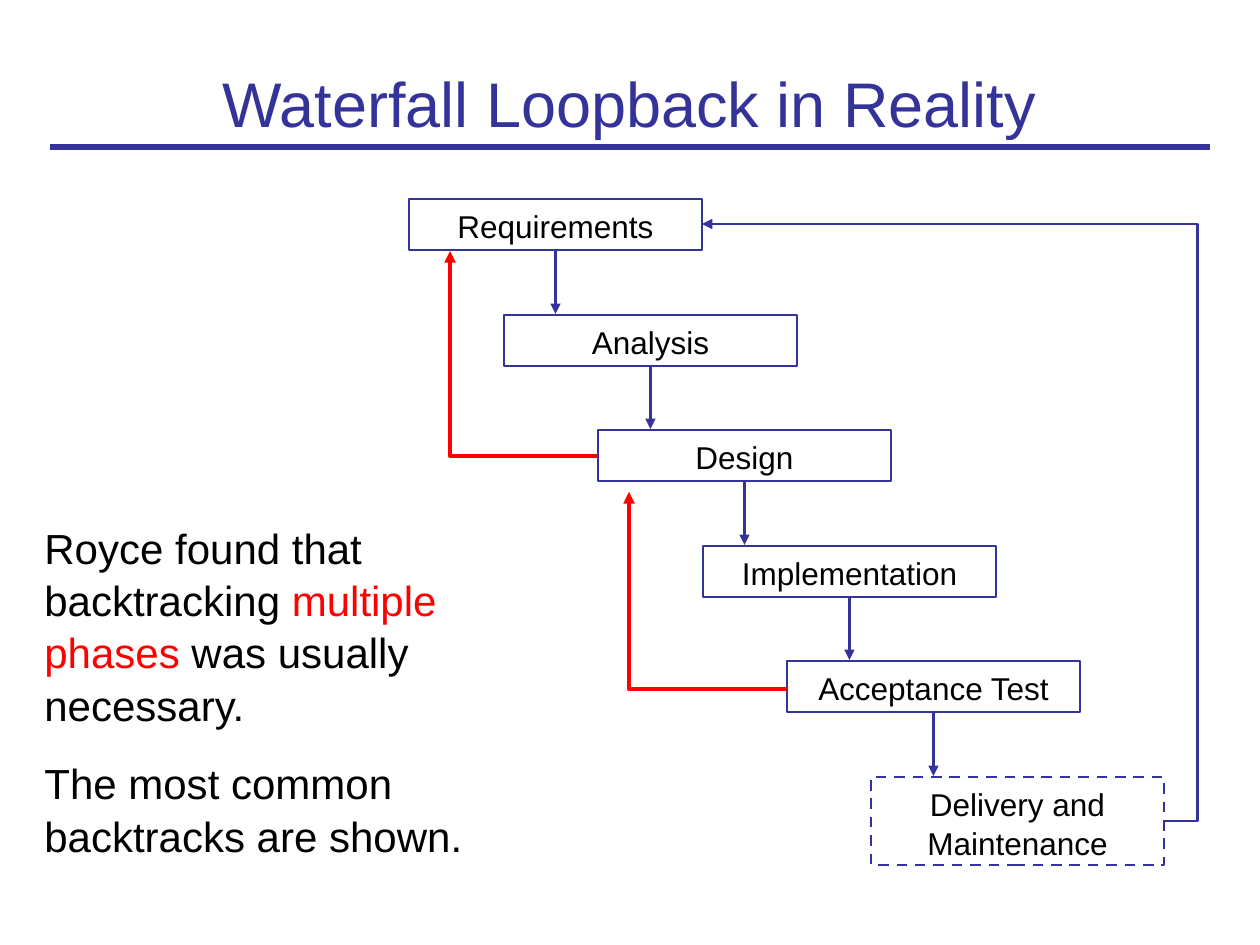
"""Build the slide on waterfall loopbacks, with the phases as a staircase."""
from dataclasses import dataclass

from lxml import etree
from pptx import Presentation
from pptx.dml.color import RGBColor
from pptx.enum.dml import MSO_LINE
from pptx.enum.shapes import MSO_CONNECTOR, MSO_SHAPE
from pptx.enum.text import MSO_ANCHOR, MSO_AUTO_SIZE, PP_ALIGN
from pptx.oxml.ns import qn
from pptx.shapes.autoshape import Shape
from pptx.shapes.connector import Connector
from pptx.util import Pt

DASH = MSO_LINE.DASH
STRAIGHT, ELBOW = MSO_CONNECTOR.STRAIGHT, MSO_CONNECTOR.ELBOW
RECTANGLE = MSO_SHAPE.RECTANGLE
TOP, BOTTOM = MSO_ANCHOR.TOP, MSO_ANCHOR.BOTTOM
NO_AUTOSIZE = MSO_AUTO_SIZE.NONE
LEFT, CENTER = PP_ALIGN.LEFT, PP_ALIGN.CENTER

FONT = "Arial"
NAVY, RED, BLACK = "333399", "FF0000", "000000"
EMU_PER_PX = 914400 / 126
PHASE_WIDTH = 293
LINE_SPACING = 1.04
QUARTER_TURN_BACK = 270 * 60000
BOTTOM_SITE = 2


@dataclass(frozen=True)
class Phase:
    """A step of the waterfall."""

    label: str
    left: int
    height: int = 51
    dashed: bool = False


@dataclass(frozen=True)
class Loopback:
    """A bent arrow back to an earlier phase."""

    begin: tuple[int, int]
    end: tuple[int, int]
    color: str
    width: float
    bend: int
    turned: bool


PHASES = [
    Phase("Requirements", 409),
    Phase("Analysis", 504),
    Phase("Design", 598),
    Phase("Implementation", 703),
    Phase("Acceptance Test", 787),
    Phase("Delivery and Maintenance", 871, 88, True),
]
LOOPBACKS = [
    Loopback((598, 456), (450, 251), RED, 2.25, 0, True),
    Loopback((788, 689), (629, 492), RED, 2.25, 0, True),
    Loopback((1165, 821), (702, 224), NAVY, 1.5, -7070, False),
]
FINDINGS = [
    [("Royce found that backtracking ", BLACK), ("multiple phases", RED),
     (" was usually necessary.", BLACK)],
    [("The most common backtracks are shown.", BLACK)],
]


def px(length: float) -> int:
    """Turn pixels into EMU."""
    return round(length * EMU_PER_PX)


def rgb(value: str) -> RGBColor:
    """Turn a hex string into a colour."""
    return RGBColor.from_string(value)


def place(shape, left: int, top: int, width: int, height: int) -> None:
    """Set the position and size of a shape."""
    shape.left, shape.top = px(left), px(top)
    shape.width, shape.height = px(width), px(height)


def add_run(paragraph, text: str, size: int, color: str) -> None:
    """Append a formatted run to a paragraph."""
    run = paragraph.add_run()
    run.text = text
    run.font.name = FONT
    run.font.size = Pt(size)
    run.font.color.rgb = rgb(color)


def add_line(shapes, kind, begin: tuple, end: tuple, color: str,
             width: float, arrow: bool = True) -> Connector:
    """Draw a shadowless connector, with an arrowhead if wanted."""
    connector = shapes.add_connector(kind, *map(px, begin + end))
    connector.line.color.rgb = rgb(color)
    connector.line.width = Pt(width)
    if arrow:
        outline = connector.line._get_or_add_ln()
        etree.SubElement(outline, qn("a:tailEnd"), type="triangle")
    etree.SubElement(connector._element.spPr, qn("a:effectLst"))
    return connector


def add_title(slide) -> None:
    """Fill the title and underline it."""
    title = slide.shapes.title
    place(title, 84, 26, 1091, 120)
    frame = title.text_frame
    frame.auto_size = NO_AUTOSIZE
    frame.vertical_anchor = BOTTOM
    frame.paragraphs[0].alignment = CENTER
    add_run(frame.paragraphs[0], "Waterfall Loopback in Reality", 36, NAVY)
    rule = add_line(slide.shapes, STRAIGHT, (53, 147), (1207, 147), NAVY, 3, False)
    rule.line._get_or_add_ln().set("cap", "sq")


def add_findings(shapes) -> None:
    """Write the remarks beside the staircase."""
    box = shapes.add_textbox(px(32), px(514), px(499), px(378))
    frame = box.text_frame
    frame.word_wrap = True
    for index, finding in enumerate(FINDINGS):
        paragraph = frame.add_paragraph() if index else frame.paragraphs[0]
        paragraph.alignment = LEFT
        paragraph.space_before = Pt(15)
        paragraph.line_spacing = LINE_SPACING
        for text, color in finding:
            add_run(paragraph, text, 24, color)


def phase_top(index: int) -> int:
    """Give the top of a phase, 115.5 px below the one before."""
    return (399 + 231 * index) // 2


def add_phase(shapes, phase: Phase, top: int) -> Shape:
    """Draw the box of a phase."""
    box = shapes.add_shape(RECTANGLE, px(phase.left), px(top),
                           px(PHASE_WIDTH), px(phase.height))
    box.shadow.inherit = False
    box.fill.background()
    box.line.color.rgb = rgb(NAVY)
    box.line.width = Pt(1.5)
    if phase.dashed:
        box.line.dash_style = DASH
    frame = box.text_frame
    frame.word_wrap = True
    frame.vertical_anchor = TOP
    paragraph = frame.paragraphs[0]
    paragraph.alignment = CENTER
    paragraph.line_spacing = LINE_SPACING
    add_run(paragraph, phase.label, 18, BLACK)
    return box


def add_loopback(shapes, loop: Loopback) -> None:
    """Draw a loopback; a turned one leaves sideways and arrives from below."""
    begin, end = loop.begin, loop.end
    if loop.turned:
        center_x, center_y = (begin[0] + end[0]) / 2, (begin[1] + end[1]) / 2
        half_x, half_y = (begin[0] - end[0]) / 2, (begin[1] - end[1]) / 2
        begin = (center_x - half_y, center_y + half_x)
        end = (center_x + half_y, center_y - half_x)
    arrow = add_line(shapes, ELBOW, begin, end, loop.color, loop.width)
    properties = arrow._element.spPr
    if loop.turned:
        properties.find(qn("a:xfrm")).set("rot", str(QUARTER_TURN_BACK))
    adjustments = properties.find(qn("a:prstGeom")).find(qn("a:avLst"))
    etree.SubElement(adjustments, qn("a:gd"), name="adj1", fmla=f"val {loop.bend}")


def main() -> None:
    """Build and save the slide."""
    presentation = Presentation()
    presentation.slide_width, presentation.slide_height = px(1260), px(945)
    slide = presentation.slides.add_slide(presentation.slide_layouts[5])
    add_title(slide)
    add_findings(slide.shapes)
    for index, phase in enumerate(PHASES):
        top = phase_top(index)
        box = add_phase(slide.shapes, phase, top)
        if index < len(PHASES) - 1:
            middle = phase.left + PHASE_WIDTH / 2
            step = add_line(slide.shapes, STRAIGHT, (middle, top + phase.height),
                            (middle, phase_top(index + 1) - 1), NAVY, 1.5)
            step.begin_connect(box, BOTTOM_SITE)
    for loop in LOOPBACKS:
        add_loopback(slide.shapes, loop)
    presentation.save("out.pptx")


if __name__ == "__main__":
    main()
